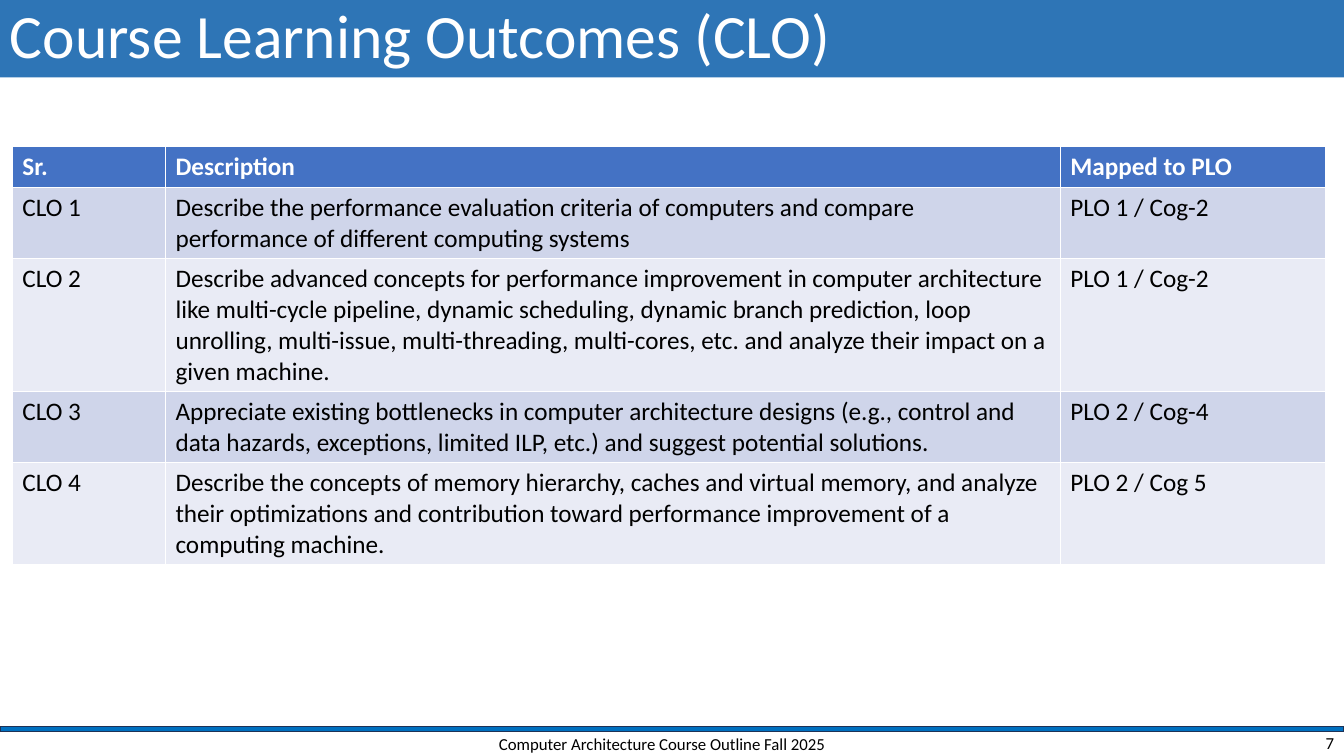
from pptx import Presentation
from pptx.dml.color import RGBColor
from pptx.enum.shapes import MSO_SHAPE
from pptx.enum.text import MSO_ANCHOR, PP_ALIGN
from pptx.util import Cm, Pt

COLORS = {
    "white": "FFFFFF",
    "black": "000000",
    "title": "2E75B6",
    "rule": "0070C0",
    "rule_edge": "1E3256",
    "header": "4472C4",
    "band_dark": "CFD5EA",
    "band_light": "E9EBF5",
}
PAGE_WIDTH, PAGE_HEIGHT = 33.87, 19.05
COLUMN_WIDTHS = [3.86, 22.55, 6.69]
ROW_HEIGHTS = [1.03, 1.79, 3.35, 1.79, 2.57]
OUTCOMES = [
    ("Sr.", "Description", "Mapped to PLO"),
    ("CLO 1", "Describe the performance evaluation criteria of computers and compare "
     "performance of different computing systems", "PLO 1 / Cog-2"),
    ("CLO 2", "Describe advanced concepts for performance improvement in computer architecture "
     "like multi-cycle pipeline, dynamic scheduling, dynamic branch prediction, loop unrolling, "
     "multi-issue, multi-threading, multi-cores, etc. and analyze their impact on a given machine.",
     "PLO 1 / Cog-2"),
    ("CLO 3", "Appreciate existing bottlenecks in computer architecture designs (e.g., control and "
     "data hazards, exceptions, limited ILP, etc.) and suggest potential solutions.", "PLO 2 / Cog-4"),
    ("CLO 4", "Describe the concepts of memory hierarchy, caches and virtual memory, and analyze "
     "their optimizations and contribution toward performance improvement of a computing machine.",
     "PLO 2 / Cog 5"),
]


def rgb(name):
    return RGBColor.from_string(COLORS[name])


class SlideBuilder:
    font_name = "Calibri"

    def __init__(self, page):
        self.page = page

    def set_text(self, frame, text, size, color, align=PP_ALIGN.LEFT, bold=False):
        frame.word_wrap = True
        para = frame.paragraphs[0]
        para.text = text
        para.alignment = align
        para.font.name = self.font_name
        para.font.size = Pt(size)
        para.font.bold = bold
        para.font.color.rgb = rgb(color)
        return para

    def bar(self, left, top, width, height, fill, edge=None):
        shape = self.page.shapes.add_shape(
            MSO_SHAPE.RECTANGLE, Cm(left), Cm(top), Cm(width), Cm(height))
        shape.shadow.inherit = False
        shape.fill.solid()
        shape.fill.fore_color.rgb = rgb(fill)
        if edge:
            shape.line.color.rgb = rgb(edge)
            shape.line.width = Pt(1)
        else:
            shape.line.fill.background()
        return shape

    def title(self, text, height):
        frame = self.bar(0, 0, PAGE_WIDTH, height, "title").text_frame
        frame.vertical_anchor = MSO_ANCHOR.MIDDLE
        self.set_text(frame, text, 44, "white").line_spacing = 0.9

    def label(self, left, top, width, height, text, align):
        box = self.page.shapes.add_textbox(Cm(left), Cm(top), Cm(width), Cm(height))
        box.text_frame.vertical_anchor = MSO_ANCHOR.MIDDLE
        self.set_text(box.text_frame, text, 12, "black", align)

    def table(self, left, top, rows, widths, heights):
        table = self.page.shapes.add_table(
            len(rows), len(widths), Cm(left), Cm(top), Cm(sum(widths)), Cm(sum(heights))).table
        for column, width in zip(table.columns, widths):
            column.width = Cm(width)
        for index, (row, height, texts) in enumerate(zip(table.rows, heights, rows)):
            row.height = Cm(height)
            is_header = index == 0
            fill = "header" if is_header else ("band_light", "band_dark")[index % 2]
            for cell, text in zip(row.cells, texts):
                cell.fill.solid()
                cell.fill.fore_color.rgb = rgb(fill)
                self.set_text(cell.text_frame, text, 18,
                              "white" if is_header else "black", bold=is_header)


def main():
    deck = Presentation()
    deck.slide_width, deck.slide_height = Cm(PAGE_WIDTH), Cm(PAGE_HEIGHT)
    builder = SlideBuilder(deck.slides.add_slide(deck.slide_layouts[6]))
    builder.bar(0, 18.31, PAGE_WIDTH, 0.13, "rule", "rule_edge")
    builder.title("Course Learning Outcomes (CLO)", 1.95)
    builder.label(9.96, 18.4, 13.46, 0.7,
                  "Computer Architecture Course Outline Fall 2025", PP_ALIGN.CENTER)
    builder.label(26.25, 18.4, 7.62, 0.64, "7", PP_ALIGN.RIGHT)
    builder.table(0.31, 3.7, OUTCOMES, COLUMN_WIDTHS, ROW_HEIGHTS)
    deck.save("out.pptx")


if __name__ == "__main__":
    main()
